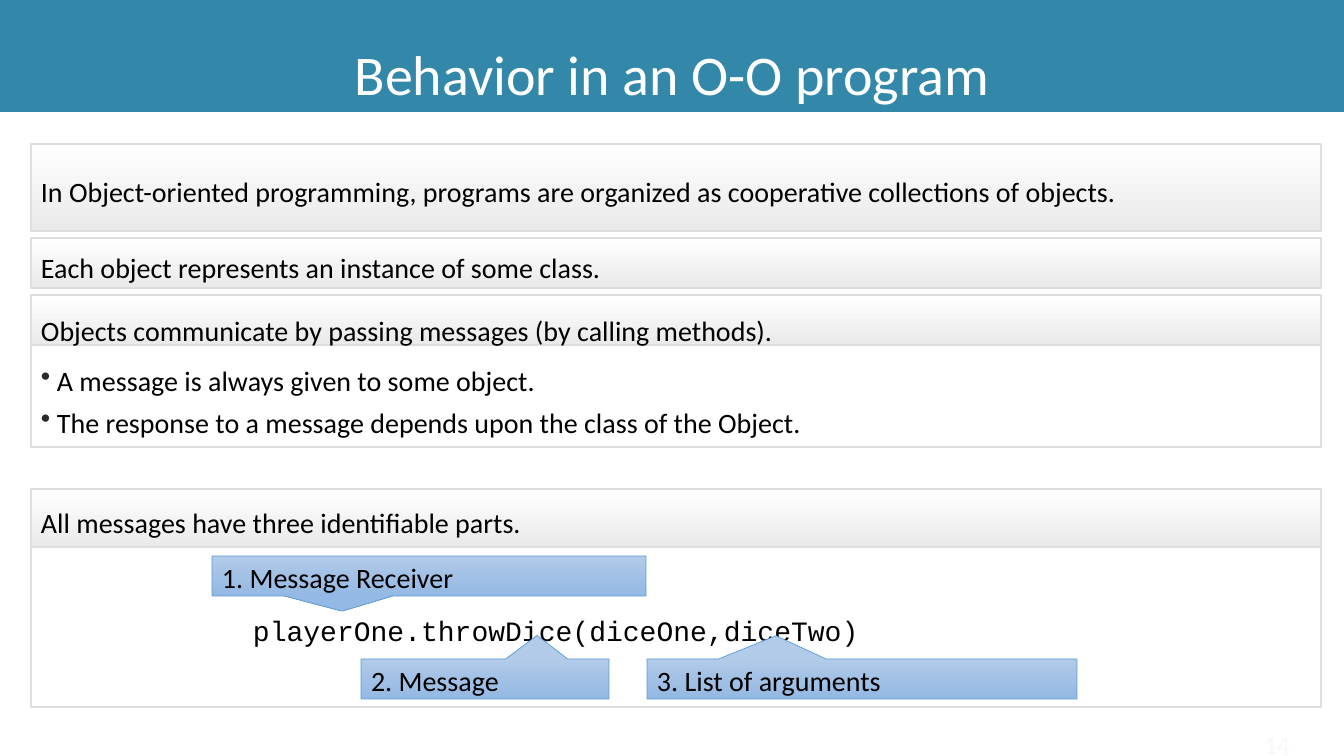
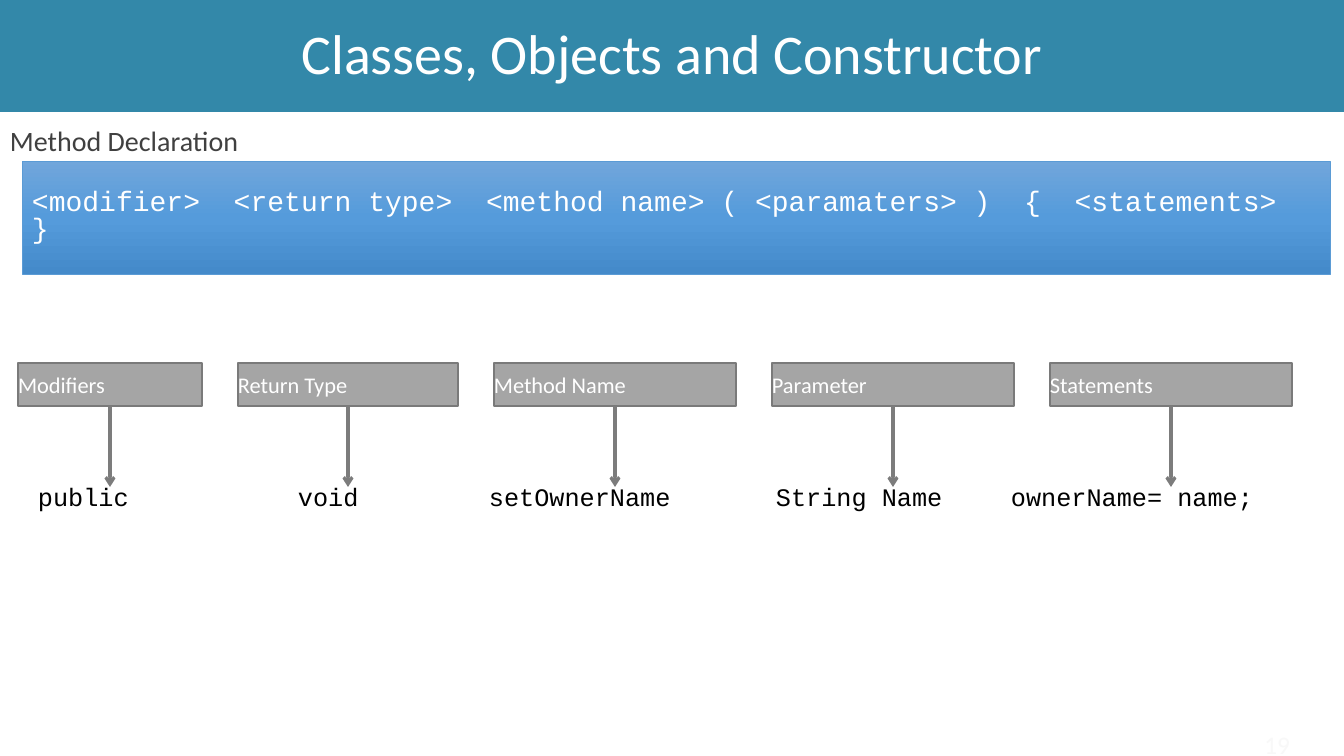
from lxml import etree
from pptx import Presentation
from pptx.dml.color import RGBColor
from pptx.enum.shapes import MSO_CONNECTOR, MSO_SHAPE
from pptx.enum.text import MSO_ANCHOR, MSO_AUTO_SIZE, PP_ALIGN
from pptx.oxml.ns import qn
from pptx.util import Emu, Pt

RECT = MSO_SHAPE.RECTANGLE
CALLOUT = MSO_SHAPE.RECTANGULAR_CALLOUT
STRAIGHT = MSO_CONNECTOR.STRAIGHT
TOP, MIDDLE = MSO_ANCHOR.TOP, MSO_ANCHOR.MIDDLE
LEFT, CENTER, RIGHT = PP_ALIGN.LEFT, PP_ALIGN.CENTER, PP_ALIGN.RIGHT
NO_AUTOFIT = MSO_AUTO_SIZE.NONE
BOTTOM_SITE = 2

WIDTH, HEIGHT = 1344, 756
BAND_HEIGHT = 112
BODY_FONT, CODE_FONT = "Calibri", "Courier New"
BAND, WHITE, BLACK = "3388A9", "FFFFFF", "000000"
PANEL_LINE, BLUE_LINE = "DDDDDD", "5B9BD5"
PANEL_FILL = ("FFFFFF", "EAEAEA")
CALLOUT_FILL = ("B1CBE9", "A3C1E5", "93B9E4")
SYNTAX_FILL = ("71A6DB", "559BDB", "448ACA")
PANEL_INSETS = (10, 10, 10, 10)
TEXT_INSETS = (10, 5, 10, 5)
NO_INSETS = (0, 0, 0, 0)


def px(length):
    return Emu(round(length * 914400 / 100.8))


def rgb(value):
    return RGBColor.from_string(value)


class Deck:
    """Holds the shared style and the slide being filled."""

    def __init__(self):
        self.prs = Presentation()
        self.prs.slide_width, self.prs.slide_height = px(WIDTH), px(HEIGHT)
        self.slide = None

    def new_slide(self, heading, number, spacing):
        self.slide = self.prs.slides.add_slide(self.prs.slide_layouts[5])
        title = self.slide.shapes.title
        title.left, title.top = px(0), px(0)
        title.width, title.height = px(WIDTH), px(BAND_HEIGHT)
        self.fill(title, (BAND,))
        self.set_text(title, [heading], 40, WHITE, align=CENTER, spacing=spacing)
        self.text((1190, 729, 100, 27), str(number), 18, "F8F8F8",
                  insets=NO_INSETS, anchor=TOP, align=RIGHT)

    def fill(self, shape, colours):
        """Fill with nothing, one colour, or a gradient running downwards."""
        if not colours:
            shape.fill.background()
        elif len(colours) == 1:
            shape.fill.solid()
            shape.fill.fore_color.rgb = rgb(colours[0])
        else:
            shape.fill.gradient()
            shape.fill.gradient_angle = 270
            stops = shape._element.spPr.find(".//" + qn("a:gsLst"))
            for stop in list(stops):
                stops.remove(stop)
            for i, colour in enumerate(colours):
                position = 100000 * i // (len(colours) - 1)
                stop = etree.SubElement(stops, qn("a:gs"), pos=str(position))
                etree.SubElement(stop, qn("a:srgbClr"), val=colour)

    def set_text(self, shape, lines, size, colour, font=BODY_FONT, insets=TEXT_INSETS,
                 anchor=MIDDLE, align=LEFT, spacing=None, bullets=False, wrap=True):
        frame = shape.text_frame
        frame.auto_size, frame.word_wrap = NO_AUTOFIT, wrap
        frame.vertical_anchor = anchor
        (frame.margin_left, frame.margin_top,
         frame.margin_right, frame.margin_bottom) = map(px, insets)
        for i, line in enumerate(lines):
            paragraph = frame.add_paragraph() if i else frame.paragraphs[0]
            if bullets:
                self.bullet(paragraph)
            paragraph.alignment = align
            if spacing:
                paragraph.line_spacing = spacing
            run = paragraph.add_run()
            run.text = line
            run.font.name, run.font.size = font, Pt(size)
            run.font.color.rgb = rgb(colour)

    def bullet(self, paragraph):
        properties = paragraph._p.get_or_add_pPr()
        indent = px(16)
        properties.set("marL", str(indent))
        properties.set("indent", str(-indent))
        colour = etree.SubElement(properties, qn("a:buClr"))
        etree.SubElement(colour, qn("a:srgbClr"), val="292929")
        etree.SubElement(properties, qn("a:buChar"), char="•")

    def box(self, area, colours, line, line_width=1, kind=RECT):
        shape = self.slide.shapes.add_shape(kind, *map(px, area))
        shape.shadow.inherit = False
        self.fill(shape, colours)
        shape.line.color.rgb = rgb(line)
        shape.line.width = Pt(line_width)
        return shape

    def panel(self, top, height, lines=(), colours=PANEL_FILL, **style):
        shape = self.box((31, top, 1290, height), colours, PANEL_LINE)
        self.set_text(shape, lines, 20, BLACK, insets=PANEL_INSETS,
                      spacing=Pt(30), **style)

    def callout(self, area, label, pointer):
        shape = self.box(area, CALLOUT_FILL, BLUE_LINE, 0.5, CALLOUT)
        shape.adjustments[0], shape.adjustments[1] = pointer
        self.set_text(shape, [label], 20, BLACK, anchor=TOP)

    def text(self, area, words, size, colour, **style):
        shape = self.slide.shapes.add_textbox(*map(px, area))
        self.set_text(shape, [words], size, colour, **style)

    def arrow_down(self, source, x, top, bottom):
        arrow = self.slide.shapes.add_connector(
            STRAIGHT, px(x), px(top), px(x), px(bottom))
        arrow.begin_connect(source, BOTTOM_SITE)
        arrow.line.color.rgb = rgb("7C7C7C")
        arrow.line.width = Pt(2.25)
        etree.SubElement(arrow.line._get_or_add_ln(), qn("a:tailEnd"), type="arrow")
        etree.SubElement(arrow._element.spPr, qn("a:effectLst"))


def behavior_slide(deck):
    deck.new_slide("Behavior in an O-O program", 14, 1.5)
    deck.panel(543, 164, colours=())
    deck.text((243, 597, 858, 58), "playerOne.throwDice(diceOne,diceTwo)", 20, BLACK,
              font=CODE_FONT, insets=PANEL_INSETS, spacing=Pt(30))
    deck.panel(345, 102, ["A message is always given to some object.",
                          "The response to a message depends upon the class of the Object."],
               colours=(), anchor=TOP, bullets=True)
    for top, height, anchor, statement in (
            (144, 87, MIDDLE, "In Object-oriented programming, programs are organized "
                              "as cooperative collections of objects."),
            (238, 50, MIDDLE, "Each object represents an instance of some class."),
            (295, 50, TOP, "Objects communicate by passing messages (by calling methods)."),
            (489, 58, MIDDLE, "All messages have three identifiable parts.")):
        deck.panel(top, height, [statement], anchor=anchor)
    for left, top, width, part, pointer in (
            (212, 556, 434, "1. Message Receiver", (-0.2, 0.88)),
            (361, 659, 248, "2. Message", (0.21, -1.09)),
            (647, 659, 430, "3. List of arguments", (-0.2, -1.08))):
        deck.callout((left, top, width, 40), part, pointer)


def declaration_slide(deck):
    deck.new_slide("Classes, Objects and Constructor", 19, 0.9)
    syntax = deck.box((22, 161, 1308, 113), SYNTAX_FILL, BLUE_LINE, 0.5)
    deck.set_text(syntax, [
        "<modifier>  <return type>  <method name> ( <paramaters> )  {  <statements>",
        "}"], 20, WHITE, font=CODE_FONT, insets=PANEL_INSETS, spacing=Pt(19))
    deck.text((0, 102, 813, 61), "Method Declaration", 20, "404040",
              anchor=TOP, spacing=1.5)

    left, top, height, gap = 18, 363, 43, 36
    for width, part, example, example_left in (
            (184, "Modifiers", "public", 28),
            (220, "Return Type", "void", 288),
            (242, "Method Name", "setOwnerName", 479),
            (242, "Parameter", "String Name", 766),
            (242, "Statements", "ownerName= name;", 1001)):
        header = deck.box((left, top, width, height), ("A5A5A5",), "7A7A7A")
        deck.set_text(header, [part], 16, WHITE, insets=NO_INSETS)
        deck.arrow_down(header, left + width // 2, top + height, 487)
        deck.text((example_left, 476, 15 * len(example) + 22, 40), example, 18, BLACK,
                  font=CODE_FONT, anchor=TOP, wrap=False)
        left += width + gap


def main():
    deck = Deck()
    behavior_slide(deck)
    declaration_slide(deck)
    deck.prs.save("out.pptx")


if __name__ == "__main__":
    main()
